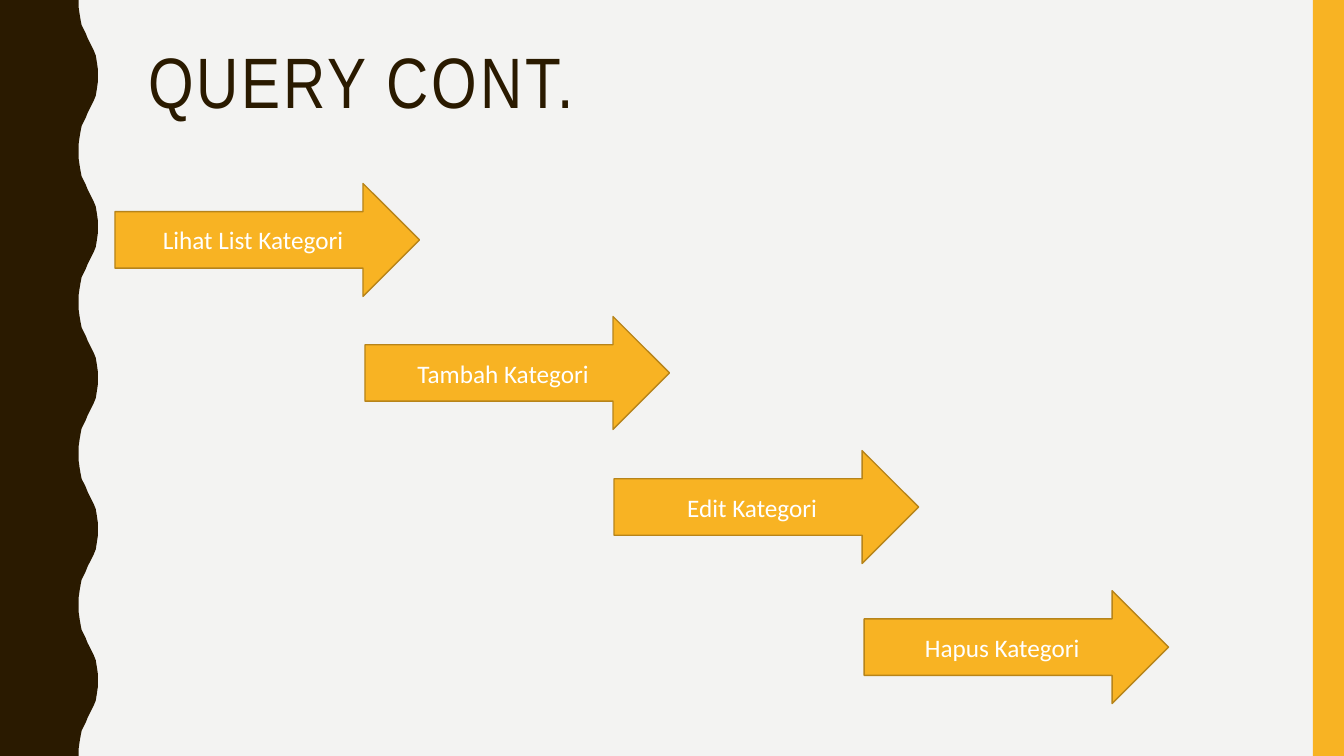
from dataclasses import dataclass

from pptx import Presentation
from pptx.dml.color import RGBColor
from pptx.enum.shapes import MSO_SHAPE as Shape
from pptx.enum.text import MSO_ANCHOR as Anchor, PP_ALIGN as Align
from pptx.shapes.autoshape import Shape as AutoShape
from pptx.slide import Slide
from pptx.text.text import TextFrame
from pptx.util import Inches, Pt

BROWN = RGBColor(0x2A, 0x1A, 0x00)
AMBER = RGBColor(0xF8, 0xB3, 0x23)
OCHRE = RGBColor(0xB7, 0x84, 0x1A)
PAPER = RGBColor(0xF3, 0xF3, 0xF2)
WHITE = RGBColor(0xFF, 0xFF, 0xFF)

WIDTH, HEIGHT = 13.33, 7.5
STRIPE_W = 0.31
ARROW_W, ARROW_H = 3.02, 1.12
WAVES, WAVE_H = 5, 1.5
WAVE_RISE = [
    (0.78, 0), (0.78, 0.07), (0.79, 0.14), (0.8, 0.2), (0.81, 0.25),
    (0.83, 0.29), (0.85, 0.33), (0.87, 0.38), (0.89, 0.42), (0.91, 0.46),
    (0.93, 0.5), (0.95, 0.55), (0.96, 0.61), (0.97, 0.68), (0.97, 0.75),
]

TITLE_FONT = {"name": "Arial Narrow", "size": Pt(51)}
ARROW_FONT = {"name": "Calibri", "size": Pt(18)}


@dataclass(frozen=True)
class Step:
    """One query step and the corner of its arrow in inches."""
    label: str
    left: float
    top: float


STEPS = [
    Step("Lihat List Kategori", 1.14, 1.82),
    Step("Tambah Kategori", 3.62, 3.14),
    Step("Edit Kategori", 6.09, 4.47),
    Step("Hapus Kategori", 8.57, 5.86),
]


def paint(sp: AutoShape, fill: RGBColor, line: RGBColor | None = None) -> None:
    """Give a shape a flat fill and an optional thin outline."""
    sp.shadow.inherit = False
    sp.fill.solid()
    sp.fill.fore_color.rgb = fill
    if line is None:
        sp.line.fill.background()
    else:
        sp.line.color.rgb = line
        sp.line.width = Pt(1)


def write(tf: TextFrame, text: str, font: dict, color: RGBColor,
          para: dict, spacing: int = 0) -> None:
    """Write one formatted paragraph, with letter spacing in points."""
    tf.word_wrap = True
    p = tf.paragraphs[0]
    for name, value in para.items():
        setattr(p, name, value)
    r = p.add_run()
    r.text = text
    for name, value in font.items():
        setattr(r.font, name, value)
    r.font.color.rgb = color
    if spacing:
        r._r.get_or_add_rPr().set("spc", str(spacing * 100))


def add_wavy_edge(s: Slide) -> None:
    """Draw the left band with a wavy right side."""
    fall = [(x, WAVE_H - y) for x, y in reversed(WAVE_RISE[:-1])]
    points = [(x, y + i * WAVE_H) for i in range(WAVES) for x, y in WAVE_RISE + fall]
    builder = s.shapes.build_freeform(0, 0, scale=1.0)
    outline = [*points, (0, HEIGHT)]
    builder.add_line_segments([(Inches(x), Inches(y)) for x, y in outline])
    paint(builder.convert_to_shape(), BROWN)


def add_stripe(s: Slide) -> None:
    """Draw the band along the right side."""
    box = map(Inches, (WIDTH - STRIPE_W, 0, STRIPE_W, HEIGHT))
    paint(s.shapes.add_shape(Shape.RECTANGLE, *box), AMBER)


def add_title(s: Slide, text: str) -> None:
    """Write the slide heading."""
    tf = s.shapes.add_textbox(*map(Inches, (1.37, 0.42, 11.13, 1.63))).text_frame
    write(tf, text, TITLE_FONT, BROWN, {"line_spacing": 0.9}, spacing=2)


def add_step(s: Slide, step: Step) -> None:
    """Draw one labelled arrow."""
    box = map(Inches, (step.left, step.top, ARROW_W, ARROW_H))
    sp = s.shapes.add_shape(Shape.RIGHT_ARROW, *box)
    paint(sp, AMBER, OCHRE)
    tf = sp.text_frame
    tf.vertical_anchor = Anchor.MIDDLE
    write(tf, step.label, ARROW_FONT, WHITE, {"alignment": Align.CENTER})


def main() -> None:
    """Build and save the slide."""
    prs = Presentation()
    prs.slide_width, prs.slide_height = Inches(WIDTH), Inches(HEIGHT)
    s = prs.slides.add_slide(prs.slide_layouts[6])
    s.background.fill.solid()
    s.background.fill.fore_color.rgb = PAPER
    add_wavy_edge(s)
    add_stripe(s)
    add_title(s, "QUERY CONT.")
    for step in STEPS:
        add_step(s, step)
    prs.save("out.pptx")


main()
